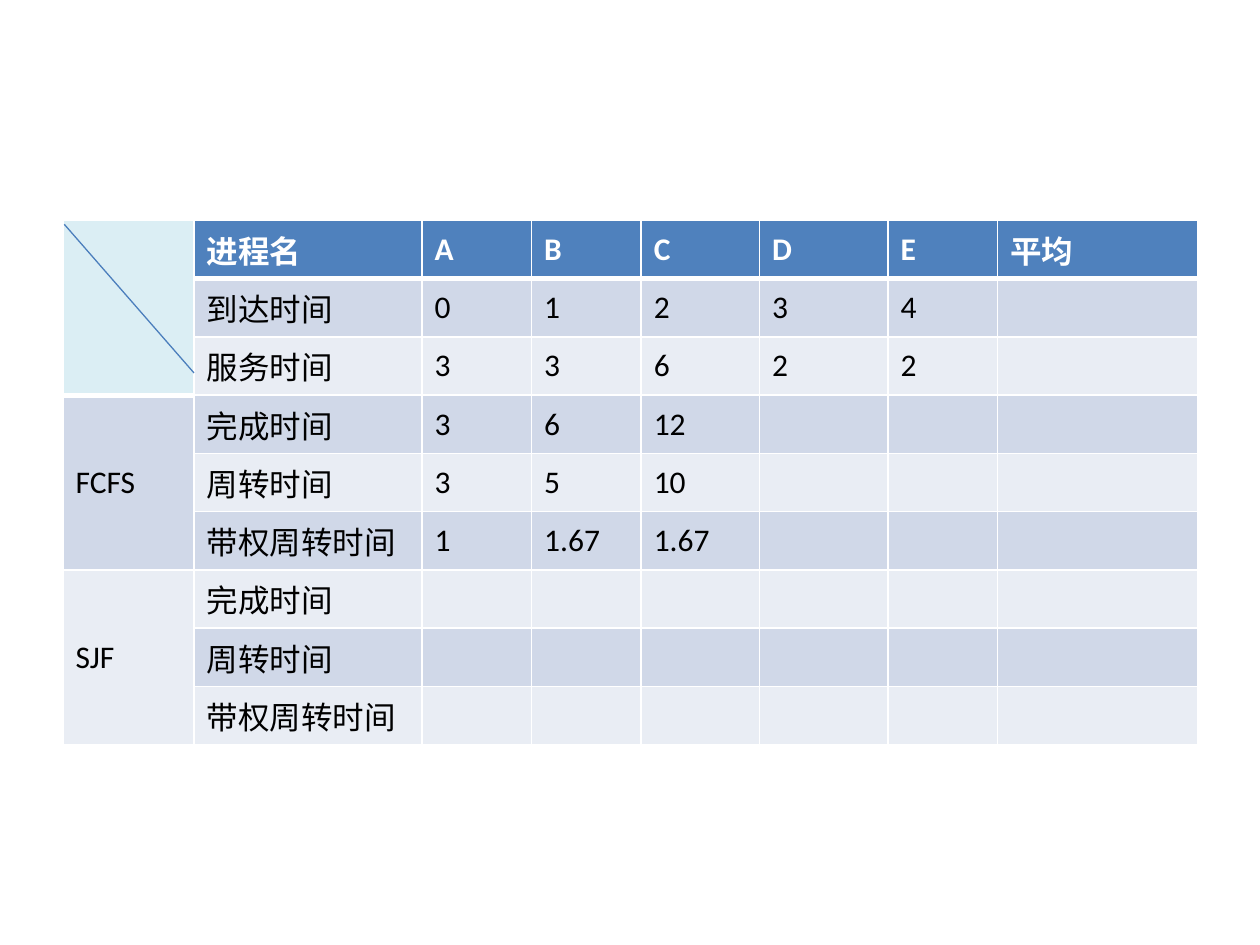
from dataclasses import dataclass

from lxml import etree
from pptx import Presentation
from pptx import util as u
from pptx.dml.color import RGBColor
from pptx.enum import shapes, text
from pptx.oxml import ns

WIDTH, HEIGHT = u.Inches(10), u.Inches(7.5)
COLUMNS = [1.04, 1.81, 0.87, 0.87, 0.94, 1.02, 0.87, 1.59]  # inches
ROW_HEIGHT = 3.65 / 9
GROUP_SIZE = 3  # rows that share one cell in the first column
HEADER, CORNER, BLACK, WHITE = "4F81BD", "DBEEF4", "000000", "FFFFFF"
BANDS = ["E9EDF4", "D0D8E8"]  # even and odd rows

TIMES = ["完成时间", "周转时间", "带权周转时间"]
GROUPS = ["", "FCFS", "SJF"]
ROWS = [
    ["进程名", "A", "B", "C", "D", "E", "平均"],
    ["到达时间", "0", "1", "2", "3", "4"],
    ["服务时间", "3", "3", "6", "2", "2"],
    [TIMES[0], "3", "6", "12"],
    [TIMES[1], "3", "5", "10"],
    [TIMES[2], "1", "1.67", "1.67"],
    *[[name] for name in TIMES],
]


@dataclass
class CellStyle:
    fill: str
    color: str = BLACK
    bold: bool = False
    top: float = 1
    bottom: float = 1


def rgb(value: str) -> RGBColor:
    return RGBColor.from_string(value)


def set_borders(cell, style: CellStyle) -> None:
    properties = cell._tc.get_or_add_tcPr()
    for side, points in (("L", 1), ("R", 1), ("T", style.top), ("B", style.bottom)):
        line = etree.SubElement(properties, ns.qn(f"a:ln{side}"), w=str(u.Pt(points)))
        fill = etree.SubElement(line, ns.qn("a:solidFill"))
        etree.SubElement(fill, ns.qn("a:srgbClr"), val=WHITE)


def draw_cell(cell, content: str, style: CellStyle) -> None:
    set_borders(cell, style)
    cell.fill.solid()
    cell.fill.fore_color.rgb = rgb(style.fill)
    cell.vertical_anchor = text.MSO_ANCHOR.MIDDLE
    paragraph = cell.text_frame.paragraphs[0]
    paragraph.text = content
    for run in paragraph.runs:
        run.font.name = "Calibri"
        run.font.size = u.Pt(18)
        run.font.bold = style.bold
        run.font.color.rgb = rgb(style.color)


def style_at(row: int, column: int) -> CellStyle:
    if row == 0:
        if column == 0:
            return CellStyle(CORNER, bottom=3)
        return CellStyle(HEADER, WHITE, True, bottom=3)
    # The row below the header block shares its thick rule
    first_body_row = GROUP_SIZE if column == 0 else 1
    return CellStyle(BANDS[row % 2], top=3 if row == first_body_row else 1)


def draw_schedule(slide) -> None:
    table = slide.shapes.add_table(
        len(ROWS), len(COLUMNS), int(WIDTH * 0.05), u.Inches(1.75),
        int(WIDTH * 0.9), u.Inches(ROW_HEIGHT * len(ROWS))).table
    for column, width in zip(table.columns, COLUMNS):
        column.width = u.Inches(width)
    # Algorithm names in the first column
    for index, name in enumerate(GROUPS):
        row = index * GROUP_SIZE
        cell = table.cell(row, 0)
        cell.merge(table.cell(row + GROUP_SIZE - 1, 0))
        draw_cell(cell, name, style_at(row, 0))
    # Process values
    for row, values in enumerate(ROWS):
        for column in range(1, len(COLUMNS)):
            content = values[column - 1] if column <= len(values) else ""
            draw_cell(table.cell(row, column), content, style_at(row, column))


def draw_diagonal(slide) -> None:
    line = slide.shapes.add_connector(
        shapes.MSO_CONNECTOR.STRAIGHT,
        u.Inches(0.51), u.Inches(1.78), u.Inches(1.54), u.Inches(2.96))
    line.line.color.rgb = rgb("4B7EBC")
    line.line.width = u.Pt(0.75)
    etree.SubElement(line._element.spPr, ns.qn("a:effectLst"))


def main() -> None:
    presentation = Presentation()
    presentation.slide_width, presentation.slide_height = WIDTH, HEIGHT
    slide = presentation.slides.add_slide(presentation.slide_layouts[6])
    draw_schedule(slide)
    draw_diagonal(slide)
    presentation.save("out.pptx")


if __name__ == "__main__":
    main()
